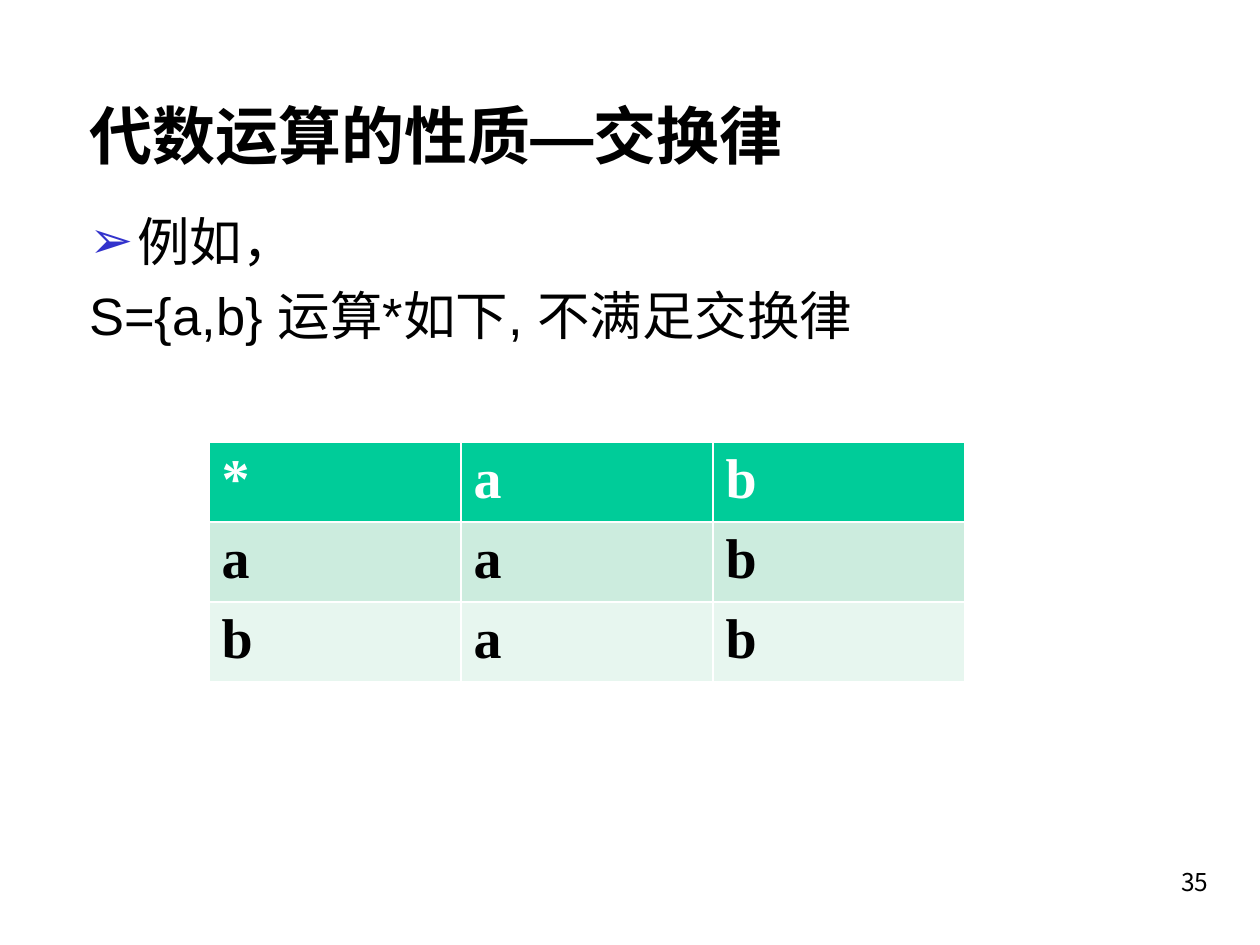
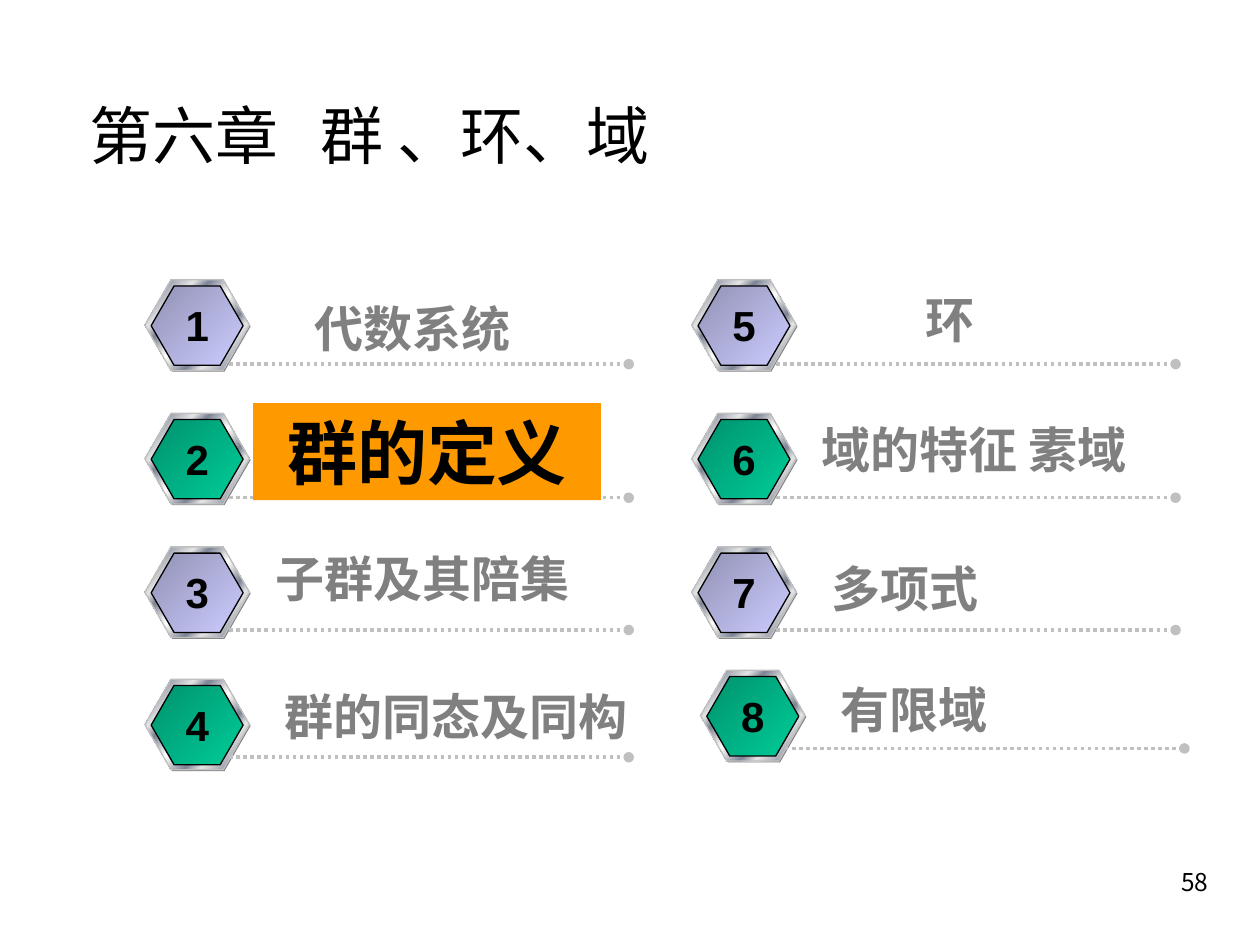
from lxml.etree import SubElement
from pptx import Presentation
from pptx.dml.color import RGBColor
from pptx.enum.dml import MSO_LINE
from pptx.enum.shapes import MSO_CONNECTOR as LINK, MSO_SHAPE as SHAPE
from pptx.enum.text import MSO_ANCHOR as ANCHOR, MSO_AUTO_SIZE as AUTO, PP_ALIGN as ALIGN
from pptx.oxml.ns import qn
from pptx.util import Pt

PX = 9144  # 100 px to the inch
BLACK = RGBColor(0x00, 0x00, 0x00)
WHITE = RGBColor(0xFF, 0xFF, 0xFF)
GRAY = RGBColor(0x80, 0x80, 0x80)
SILVER = RGBColor(0xC0, 0xC0, 0xC0)
ORANGE = RGBColor(0xFF, 0x99, 0x00)
BLUE = RGBColor(0x33, 0x33, 0xCC)
GREEN = RGBColor(0x00, 0xCC, 0x99)
PINE = RGBColor(0x00, 0x92, 0x6D)
LILAC = RGBColor(0xCC, 0xCC, 0xFF)
PLUM = RGBColor(0x92, 0x92, 0xB6)
MINT = RGBColor(0xCC, 0xEC, 0xDE)
PALE = RGBColor(0xE7, 0xF6, 0xEF)
LIGHT = RGBColor(0xE6, 0xE6, 0xE6)
STEEL = RGBColor(0x7D, 0x84, 0x96)
SANS, HAN, NUM, SERIF = "Arial", "Noto Sans CJK SC", "Noto Sans CJK KR", "Times New Roman"
METAL = [(0, LIGHT), (8, STEEL), (26, LIGHT), (34, STEEL), (46, LIGHT), (50, WHITE),
         (54, LIGHT), (66, STEEL), (74, LIGHT), (92, STEEL), (100, LIGHT)]


def write(para, text, size, face, color=BLACK, bold=False):
    run = para.add_run()
    run.text = text
    font = run.font
    font.size, font.name, font.bold = Pt(size), face, bold
    font.color.rgb = color
    SubElement(run._r.get_or_add_rPr(), qn("a:ea")).set("typeface", face)
    return run


def add_hex(group, x, y, w, h, stops):
    shape = group.shapes.add_shape(SHAPE.HEXAGON, x * PX, y * PX, w * PX, h * PX)
    shape.adjustments[0] = 0.289
    shape.shadow.inherit = False
    shape.fill.gradient()
    shape.fill.gradient_angle = 315
    ramp = shape._element.spPr.find(qn("a:gradFill")).find(qn("a:gsLst"))
    ramp.clear()
    for pos, color in stops:
        stop = SubElement(ramp, qn("a:gs"), pos=str(pos * 1000))
        SubElement(stop, qn("a:srgbClr"), val=str(color))
    shape.line.width = Pt(0.75)
    return shape


deck = Presentation()
deck.slide_width, deck.slide_height = 1000 * PX, 750 * PX

# Both slides: title and page number
slides = []
for kind, parts, bold, face, page in [
    (1, ["代数运算的性质—交换律"], True, SANS, "35"),
    (5, ["第六章", " ", "群 、环、域"], False, HAN, "58"),
]:
    slide = deck.slides.add_slide(deck.slide_layouts[kind])
    slides.append(slide)
    title = slide.shapes.title
    title.left, title.top, title.width, title.height = 61 * PX, 58 * PX, 877 * PX, 97 * PX
    frame = title.text_frame
    frame.auto_size, frame.vertical_anchor = AUTO.NONE, ANCHOR.MIDDLE
    para = frame.paragraphs[0]
    para.alignment = ALIGN.LEFT
    for part in parts:
        run = write(para, part, 36, face, bold=bold)
        if part == " ":
            run._r.get_or_add_rPr().set("spc", "1600")  # wide gap after the chapter

    foot = slide.shapes.add_textbox(761 * PX, 683 * PX, 208 * PX, 50 * PX).text_frame
    foot.word_wrap = True
    foot.paragraphs[0].alignment = ALIGN.RIGHT
    write(foot.paragraphs[0], page, 14, NUM)
first, second = slides

# Slide 1: example
body = first.placeholders[1]
body.left, body.top, body.width, body.height = 61 * PX, 161 * PX, 908 * PX, 500 * PX
frame = body.text_frame
frame.auto_size = AUTO.NONE
lead, rule = frame.paragraphs[0], frame.add_paragraph()
for para, dent in [(lead, 38), (rule, 0)]:
    prop = para._p.get_or_add_pPr()
    prop.set("marL", str(dent * PX))
    prop.set("indent", str(-dent * PX))
    if dent:
        tint = SubElement(prop, qn("a:buClr"))
        SubElement(tint, qn("a:srgbClr"), val=str(BLUE))
        SubElement(prop, qn("a:buFont"), typeface=SANS)
        SubElement(prop, qn("a:buChar"), char="➢")
    else:
        SubElement(prop, qn("a:buNone"))
lead.space_before, rule.space_before = Pt(0), Pt(6)
write(lead, "例如，", 30, SANS)
write(rule, "S={a,b} 运算*如下, 不满足交换律", 30, SANS)

# Slide 1: operation table
rows = ["*ab", "aab", "bab"]
table = first.shapes.add_table(3, 3, 166 * PX, 351 * PX, 600 * PX, 189 * PX).table
for i, (row, fill) in enumerate(zip(rows, [GREEN, MINT, PALE])):
    for j, mark in enumerate(row):
        cell = table.cell(i, j)
        cell.fill.solid()
        cell.fill.fore_color.rgb = fill
        write(cell.text_frame.paragraphs[0], mark, 32, SERIF, BLACK if i else WHITE, True)

# Slide 2: chapter sections (hexagon x, y; line drop; label, its x, y, width)
items = [
    (115, 222, 67, "代数系统", 240, 232, 183),
    (115, 328, 67, "群的定义", 201, 320, 276),
    (115, 434, 66, "子群及其陪集", 209, 430, 275),
    (115, 539, 62, "群的同态及同构", 216, 540, 299),
    (549, 222, 67, "环", 650, 225, 208),
    (549, 328, 67, "域的特征 素域", 642, 328, 291),
    (549, 434, 66, "多项式", 650, 438, 291),
    (556, 532, 62, "有限域", 657, 534, 299),
]
for num, (x, y, drop, label, left, top, wide) in enumerate(items, 1):
    # Badge: shade, metal rim, face
    group = second.shapes.add_group_shape()
    shade = add_hex(group, x + 1, y + 1, 83, 72, METAL)
    shade.fill.solid()
    shade.fill.fore_color.rgb = GRAY
    shade.line.fill.background()
    rim = add_hex(group, x, y, 83, 72, METAL)
    rim.line.color.rgb = SILVER
    ends = (PLUM, LILAC) if num % 2 else (PINE, GREEN)
    face = add_hex(group, x + 5, y + 5, 73, 63, zip((0, 100), ends))
    face.line.color.rgb = BLACK

    # Dotted line with a round end
    line = second.shapes.add_connector(
        LINK.STRAIGHT, (x + 67) * PX, (y + drop) * PX, (x + 384) * PX, (y + drop) * PX)
    line.line.color.rgb = SILVER
    line.line.width = Pt(2)
    line.line.dash_style = MSO_LINE.ROUND_DOT
    SubElement(line.line._get_or_add_ln(), qn("a:tailEnd"), type="oval")
    SubElement(line._element.spPr, qn("a:effectLst"))

    # Number
    frame = second.shapes.add_textbox((x + 22) * PX, (y + 11) * PX, 39 * PX, 50 * PX).text_frame
    frame.word_wrap = False
    frame.paragraphs[0].alignment = ALIGN.CENTER
    write(frame.paragraphs[0], str(num), 24, SANS, bold=True)

    # Label, with the current section marked
    now = num == 2
    box = second.shapes.add_textbox(left * PX, top * PX, wide * PX, (77 if now else 57) * PX)
    if now:
        box.fill.solid()
        box.fill.fore_color.rgb = ORANGE
    frame = box.text_frame
    frame.word_wrap, frame.vertical_anchor = True, ANCHOR.MIDDLE
    frame.paragraphs[0].alignment = ALIGN.CENTER if num in (2, 5) else ALIGN.LEFT
    write(frame.paragraphs[0], label, 40 if now else 28, HAN, BLACK if now else GRAY, True)

deck.save("out.pptx")
